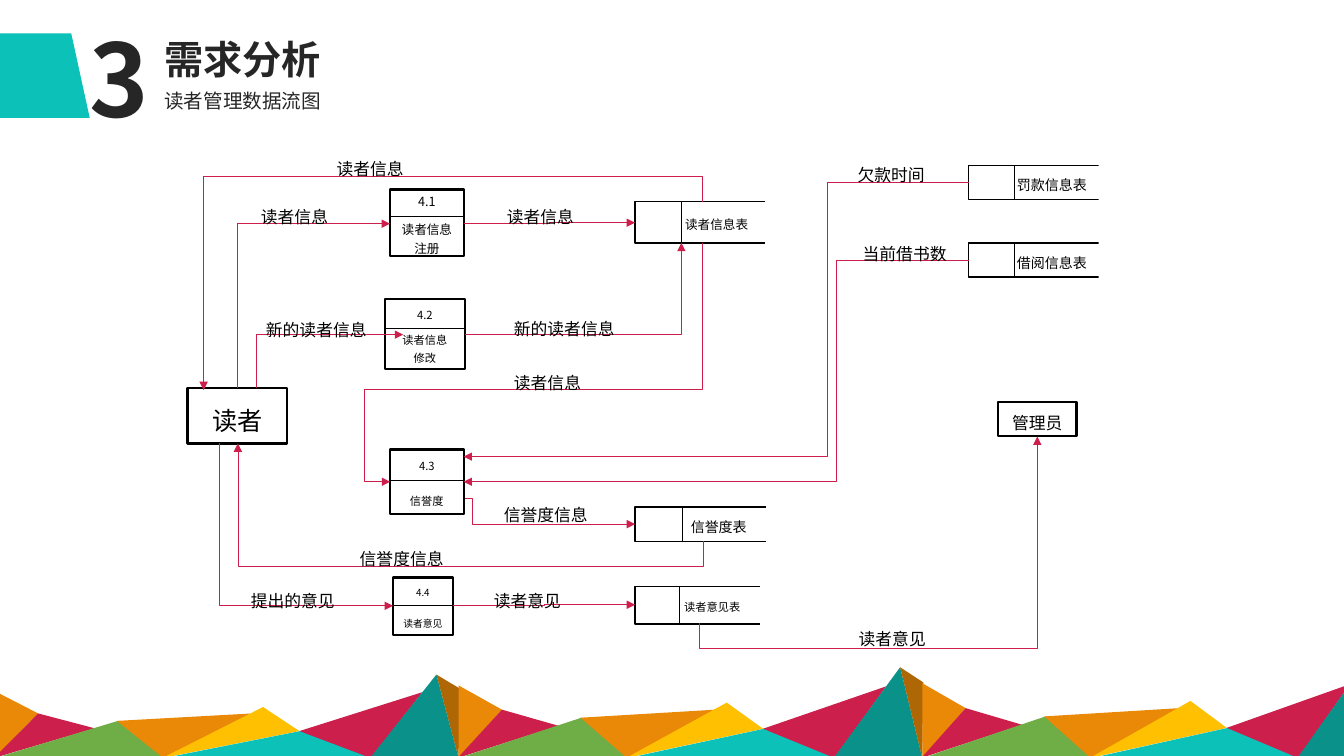
import lxml.etree
import pptx
import pptx.dml.color
import pptx.enum.shapes
import pptx.enum.text
import pptx.oxml.ns
import pptx.util

FONT = "Noto Sans CJK SC"
HUES = {
    "teal": "0CC1B8", "pine": "09918A", "red": "CC1F4C", "green": "6FAD46",
    "orange": "EA8807", "brown": "AF6605", "gold": "FEC001",
    "dark": "262626", "black": "000000", "white": "FFFFFF",
}
KINDS = pptx.enum.shapes.MSO_SHAPE
LINKS = pptx.enum.shapes.MSO_CONNECTOR
ANCHOR = pptx.enum.text.MSO_ANCHOR
ALIGN = pptx.enum.text.PP_ALIGN


def inch(size):
    return pptx.util.Cm(round(size * 2.54, 3))


def hue(name):
    return pptx.dml.color.RGBColor.from_string(HUES[name])


class Board:
    def __init__(self, slide):
        self.shapes = slide.shapes

    def paint(self, shape, fill, line=None):
        shape.shadow.inherit = False
        shape.fill.solid()
        shape.fill.fore_color.rgb = hue(fill)
        if line:
            shape.line.color.rgb = hue("black")
            shape.line.width = pptx.util.Pt(line)
        else:
            shape.line.fill.background()

    def facet(self, points, fill):
        spots = [(inch(x), inch(y)) for x, y in points]
        form = self.shapes.build_freeform(*spots[0])
        form.add_line_segments(spots[1:], close=True)
        self.paint(form.convert_to_shape(), fill)

    def block(self, area, fill="white", line=None, kind=KINDS.RECTANGLE):
        shape = self.shapes.add_shape(kind, *map(inch, area))
        self.paint(shape, fill, line)
        return shape

    def phrase(self, para, text, size, color="black", bold=False, lead=1.3):
        para.line_spacing = lead
        run = para.add_run()
        run.text = text
        font = run.font
        font.name, font.size, font.bold = FONT, pptx.util.Pt(size), bold
        font.color.rgb = hue(color)
        props = run._r.get_or_add_rPr()
        east = lxml.etree.SubElement(props, pptx.oxml.ns.qn("a:ea"))
        east.set("typeface", FONT)

    def fill(self, shape, lines, size, gap=0, left=0):
        """Centre the lines in a shape, with a gap below the first one."""
        frame = shape.text_frame
        frame.word_wrap = True
        frame.vertical_anchor = ANCHOR.MIDDLE
        frame.margin_top = frame.margin_bottom = frame.margin_right = 0
        frame.margin_left = inch(left)
        for spot, text in enumerate(lines):
            para = frame.add_paragraph() if spot else frame.paragraphs[0]
            para.alignment = ALIGN.CENTER
            if spot == 1:
                para.space_before = pptx.util.Pt(gap)
            self.phrase(para, text, size)

    def text(self, area, text, size, wrap=True, **style):
        frame = self.shapes.add_textbox(*map(inch, area)).text_frame
        frame.word_wrap = wrap
        frame.vertical_anchor = ANCHOR.TOP
        self.phrase(frame.paragraphs[0], text, size, **style)

    def link(self, kind, start, end, color, width=0.5):
        line = self.shapes.add_connector(kind, *map(inch, start + end))
        line.line.color.rgb = hue(color)
        line.line.width = pptx.util.Pt(width)
        props = line._element.spPr
        lxml.etree.SubElement(props, pptx.oxml.ns.qn("a:effectLst"))
        return line

    def route(self, *points):
        """Join the points with one elbow arrow of square turns."""
        (x, y), (x2, y2) = points[0], points[-1]
        wide, tall = x2 - x, y2 - y
        upright = points[1][0] == x
        run, rise = (tall, -wide) if upright else (wide, tall)
        mid, deep = (x + x2) / 2, (y + y2) / 2
        line = self.link(LINKS.ELBOW, (mid - run / 2, deep - rise / 2),
                         (mid + run / 2, deep + rise / 2), "red")
        name = pptx.oxml.ns.qn
        props = line._element.spPr
        if upright:
            props.find(name("a:xfrm")).set("rot", "5400000")
        shift = points[1][1] - y if upright else points[1][0] - x
        ratios = [shift / run]
        if len(points) == 5:
            turn = x - points[2][0] if upright else points[2][1] - y
            ratios.append(turn / rise)
        shape = props.find(name("a:prstGeom"))
        shape.set("prst", f"bentConnector{len(points) - 1}")
        if len(points) > 3:
            guides = shape.find(name("a:avLst"))
            for spot, ratio in enumerate(ratios, 1):
                guide = lxml.etree.SubElement(guides, name("a:gd"))
                guide.set("name", f"adj{spot}")
                guide.set("fmla", f"val {round(ratio * 100000)}")
        tip = lxml.etree.SubElement(props.find(name("a:ln")), name("a:tailEnd"))
        tip.set("type", "triangle")

    def step(self, area, split, lines, size, gap):
        """Draw a process box with its number above a rule."""
        self.fill(self.block(area, line=1.5), lines, size, gap)
        x, _, wide, _ = area
        self.link(LINKS.STRAIGHT, (x, split), (x + wide, split), "black")

    def store(self, area, split, text, size):
        """Draw a data store: a split box open on the right."""
        x, y, wide, tall = area
        self.fill(self.block(area, line=1), [text], size, left=size * 0.033)
        self.block((x + wide - 0.03, y - 0.05, 0.2, tall + 0.1))
        self.link(LINKS.STRAIGHT, (split, y), (split, y + tall), "black")


# Corners of one mountain range: distance along it, height above its foot
RANGE = [
    ("orange", [(0, 0), (0, 0.72), (0.43, 0.48)]),
    ("red", [(-0.01, 0), (0.43, 0.48), (0.99, 0.32)]),
    ("green", [(0, 0), (1.22, 0.4), (1.68, 0)]),
    ("orange", [(1.21, 0.4), (2.55, 0.48), (1.67, 0)]),
    ("gold", [(1.66, 0), (2.66, 0.55), (3.02, 0.29)]),
    ("teal", [(1.68, 0), (3.03, 0.29), (3.75, 0)]),
    ("red", [(3.02, 0.29), (4.24, 0.71), (3.73, 0)]),
    ("pine", [(3.72, 0), (4.38, 0.9), (4.6, 0)]),
    ("brown", [(4.6, 0), (4.38, 0.9), (4.61, 0.75)]),
]
STEPS = [
    ((3.87, 1.88, 0.73, 0.66), 2.15, ["4.1", "读者信息", "注册"], 9, 6),
    ((3.82, 2.97, 0.79, 0.69), 3.26, ["4.2", "读者信息", "修改"], 8, 6),
    ((3.87, 4.46, 0.73, 0.64), 4.77, ["4.3", "信誉度"], 8, 12.5),
    ((3.9, 5.73, 0.59, 0.57), 6.01, ["4.4", "读者意见"], 7, 11),
]
STORES = [
    ((6.3, 2, 1.32, 0.41), 6.76, "读者信息表", 9),
    ((6.3, 5.03, 1.33, 0.34), 6.77, "信誉度表", 10),
    ((6.3, 5.82, 1.27, 0.37), 6.74, "读者意见表", 8),
    ((9.61, 1.64, 1.32, 0.34), 10.06, "罚款信息表", 10),
    ((9.61, 2.41, 1.32, 0.34), 10.06, "借阅信息表", 10),
]
ROUTES = [
    [(2.36, 3.85), (2.36, 2.22), (3.87, 2.22)],
    [(2.54, 3.85), (2.54, 3.32), (4, 3.32)],
    [(6.97, 2), (6.97, 1.75), (2.02, 1.75), (2.02, 3.87)],
    [(4.6, 2.22), (5.45, 2.22), (5.45, 2.21), (6.3, 2.21)],
    [(4.61, 3.32), (6.76, 3.32), (6.76, 2.41)],
    [(6.97, 2.41), (6.97, 3.86), (3.62, 3.86), (3.62, 4.78), (3.87, 4.78)],
    [(2.18, 4.39), (2.18, 6.01), (3.9, 6.01)],
    [(4.49, 6.01), (5.4, 6.01), (5.4, 6), (6.3, 6)],
    [(6.98, 5.37), (6.98, 5.62), (2.36, 5.62), (2.36, 4.4)],
    [(9.61, 1.81), (8.21, 1.81), (8.21, 4.53), (4.6, 4.53)],
    [(9.61, 2.58), (8.3, 2.58), (8.3, 4.78), (4.6, 4.78)],
    [(6.94, 6.18), (6.94, 6.43), (10.29, 6.43), (10.29, 4.33)],
    [(4.61, 4.94), (4.69, 4.94), (4.69, 5.2), (6.3, 5.2)],
]
LABELS = [
    (3.24, 1.47, "读者信息"), (2.49, 1.94, "读者信息"), (4.93, 1.94, "读者信息"),
    (5, 3.59, "读者信息"), (2.54, 3.06, "新的读者信息"), (5, 3.05, "新的读者信息"),
    (4.9, 4.9, "信誉度信息"), (3.47, 5.33, "信誉度信息"), (2.39, 5.75, "提出的意见"),
    (4.8, 5.75, "读者意见"), (8.41, 1.53, "欠款时间"), (8.46, 2.31, "当前借书数"),
    (8.42, 6.13, "读者意见"),
]


def main():
    deck = pptx.Presentation()
    deck.slide_width, deck.slide_height = inch(13.333), inch(7.5)
    board = Board(deck.slides.add_slide(deck.slide_layouts[6]))

    for turn, scale in enumerate((0.92, 1, 1.03)):
        for fill, spots in RANGE[:8] if turn == 2 else RANGE:
            board.facet([(4.6 * turn - 0.05 + x, 7.52 - y * scale)
                         for x, y in spots], fill)

    tab = board.block((0.01, 0.29, 0.84, 0.92), "teal",
                      kind=KINDS.FLOWCHART_MANUAL_INPUT)
    tab.rotation = 90
    board.text((0.79, 0.25, 0.74, 0.99), "3", 72, color="dark", bold=True, lead=0.9)
    board.text((1.53, 0.35, 3.45, 0.51), "需求分析", 28, color="dark", bold=True, lead=0.9)
    board.text((1.53, 0.86, 3.45, 0.38), "读者管理数据流图", 14, color="dark", lead=0.9)

    board.fill(board.block((1.86, 3.85, 0.99, 0.55), line=1.5), ["读者"], 18)
    board.fill(board.block((9.9, 3.99, 0.78, 0.34), line=1.5), ["管理员"], 12)
    for step in STEPS:
        board.step(*step)
    for store in STORES:
        board.store(*store)
    for points in ROUTES:
        board.route(*points)
    for x, y, text in LABELS:
        wide = 0.2 + len(text) / 6
        board.text((x, y, wide, 0.28), text, 12, wrap=False)
    deck.save("out.pptx")


if __name__ == "__main__":
    main()
